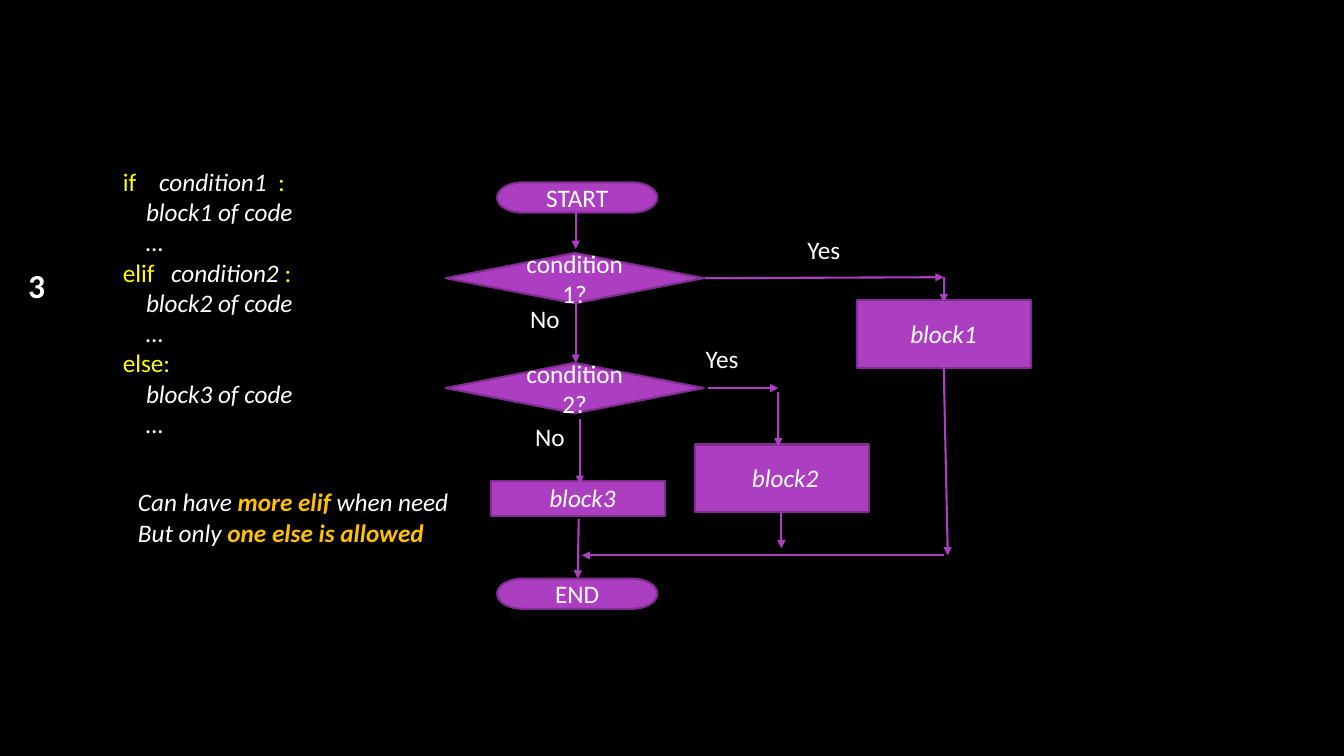
"""Build a slide that explains if / elif / else with code and a flowchart."""
from dataclasses import dataclass

from lxml import etree
from pptx import Presentation
from pptx.dml.color import RGBColor
from pptx.enum.shapes import MSO_CONNECTOR, MSO_SHAPE
from pptx.enum.text import MSO_ANCHOR, MSO_AUTO_SIZE, PP_ALIGN
from pptx.oxml.ns import qn
from pptx.util import Pt

PX = 9144
FONT = "Calibri"
BLACK = RGBColor(0x00, 0x00, 0x00)
WHITE = RGBColor(0xFF, 0xFF, 0xFF)
YELLOW = RGBColor(0xFF, 0xFF, 0x00)
GOLD = RGBColor(0xFF, 0xC0, 0x00)
PURPLE = RGBColor(0xAC, 0x3E, 0xC1)
PLUM = RGBColor(0x7F, 0x2E, 0x8F)
TERMINATOR = MSO_SHAPE.FLOWCHART_TERMINATOR
DECISION = MSO_SHAPE.FLOWCHART_DECISION
PROCESS = MSO_SHAPE.FLOWCHART_PROCESS
STRAIGHT = MSO_CONNECTOR.STRAIGHT
MIDDLE = MSO_ANCHOR.MIDDLE
CENTER = PP_ALIGN.CENTER
FIT_SHAPE = MSO_AUTO_SIZE.SHAPE_TO_FIT_TEXT


@dataclass(frozen=True)
class Run:
    text: str
    color: RGBColor = WHITE
    italic: bool = False
    bold: bool = False
    size: int = 18


@dataclass(frozen=True)
class Para:
    runs: tuple[Run, ...]
    indent: int = 0
    tabs: tuple[int, ...] = ()


@dataclass(frozen=True)
class Node:
    kind: int
    x: int
    y: int
    w: int
    h: int
    text: str = ""


@dataclass(frozen=True)
class Arrow:
    x1: int
    y1: int
    x2: int
    y2: int


@dataclass(frozen=True)
class Label:
    x: int
    y: int
    w: int
    h: int
    paras: tuple[Para, ...]
    wrap: bool = False


def word(text: str, **style) -> tuple[Para, ...]:
    """Return one paragraph with a single run."""
    return (Para((Run(text, **style),)),)


def body(number: int) -> tuple[Para, ...]:
    """Return the indented code lines of one branch."""
    return tuple(Para((Run(text, italic=True),), indent=23)
                 for text in (f"block{number} of code", "…"))


NODES = (
    Node(TERMINATOR, 493, 181, 159, 30, "START"),
    Node(DECISION, 442, 251, 256, 50, "condition1?"),
    Node(DECISION, 442, 360, 256, 50, "condition2?"),
    Node(PROCESS, 850, 298, 173, 67),
    Node(PROCESS, 689, 441, 173, 67),
    Node(PROCESS, 487, 477, 173, 35),
    Node(TERMINATOR, 493, 574, 159, 30, "END"),
)
ARROWS = (
    Arrow(571, 210, 571, 247),
    Arrow(571, 301, 571, 360),
    Arrow(575, 416, 575, 480),
    Arrow(574, 515, 573, 574),
    Arrow(699, 276, 936, 275),
    Arrow(936, 275, 936, 300),
    Arrow(936, 364, 940, 551),
    Arrow(936, 551, 577, 551),
    Arrow(702, 385, 772, 385),
    Arrow(772, 389, 772, 443),
    Arrow(775, 508, 775, 544),
)
CODE = (
    Para((Run("if\t", YELLOW), Run("condition1\t", italic=True),
          Run(":", YELLOW)), tabs=(36, 154)),
    *body(1),
    Para((Run("elif\t", YELLOW), Run("condition2", italic=True),
          Run(" :", YELLOW)), tabs=(48,)),
    *body(2),
    Para((Run("else:", YELLOW),)),
    *body(3),
)
ADVICE = (
    Para((Run("Can have ", italic=True), Run("more elif ", GOLD, True, True),
          Run("when need", italic=True))),
    Para((Run("But only ", italic=True),
          Run("one else is allowed", GOLD, True, True))),
)
LABELS = (
    Label(791, 228, 53, 40, word("Yes")),
    Label(690, 336, 53, 40, word("Yes")),
    Label(516, 296, 50, 40, word("No")),
    Label(521, 413, 50, 40, word("No")),
    Label(893, 311, 93, 40, word("block1", italic=True), wrap=True),
    Label(736, 454, 93, 40, word("block2", italic=True), wrap=True),
    Label(535, 474, 93, 40, word("block3", italic=True), wrap=True),
    Label(112, 160, 285, 283, CODE, wrap=True),
    Label(18, 258, 37, 50, word("3", bold=True, size=24)),
    Label(127, 478, 329, 71, ADVICE),
)


def add_run(p, run: Run) -> None:
    """Append a styled run to a paragraph."""
    r = p.add_run()
    r.text = run.text
    r.font.name = FONT
    r.font.size = Pt(run.size)
    r.font.bold = run.bold
    r.font.italic = run.italic
    r.font.color.rgb = run.color


def add_node(s, node: Node) -> None:
    """Draw a flowchart shape."""
    sp = s.shapes.add_shape(node.kind, node.x * PX, node.y * PX,
                            node.w * PX, node.h * PX)
    sp.shadow.inherit = False
    sp.fill.solid()
    sp.fill.fore_color.rgb = PURPLE
    sp.line.color.rgb = PLUM
    sp.line.width = Pt(1.5)
    if node.text:
        tf = sp.text_frame
        tf.word_wrap = True
        tf.vertical_anchor = MIDDLE
        p = tf.paragraphs[0]
        p.alignment = CENTER
        add_run(p, Run(node.text))


def add_arrow(s, arrow: Arrow) -> None:
    """Draw a straight arrow."""
    sp = s.shapes.add_connector(STRAIGHT, arrow.x1 * PX, arrow.y1 * PX,
                                arrow.x2 * PX, arrow.y2 * PX)
    sp.line.color.rgb = PURPLE
    sp.line.width = Pt(1.5)
    etree.SubElement(sp.line._get_or_add_ln(), qn("a:tailEnd"), type="triangle")
    etree.SubElement(sp._element.spPr, qn("a:effectLst"))


def add_label(s, label: Label) -> None:
    """Draw a text box with indents and tab stops."""
    sp = s.shapes.add_textbox(label.x * PX, label.y * PX,
                              label.w * PX, label.h * PX)
    tf = sp.text_frame
    tf.word_wrap = label.wrap
    tf.auto_size = FIT_SHAPE
    for i, para in enumerate(label.paras):
        p = tf.add_paragraph() if i else tf.paragraphs[0]
        props = p._p.get_or_add_pPr()
        if para.indent:
            props.set("marL", str(para.indent * PX))
        if para.tabs:
            stops = etree.SubElement(props, qn("a:tabLst"))
            for tab in para.tabs:
                etree.SubElement(stops, qn("a:tab"), pos=str(tab * PX), algn="l")
        for run in para.runs:
            add_run(p, run)


def main() -> None:
    """Build and save the slide."""
    prs = Presentation()
    prs.slide_width, prs.slide_height = 1333 * PX, 750 * PX
    s = prs.slides.add_slide(prs.slide_layouts[6])
    s.background.fill.solid()
    s.background.fill.fore_color.rgb = BLACK
    for node in NODES:
        add_node(s, node)
    for arrow in ARROWS:
        add_arrow(s, arrow)
    for label in LABELS:
        add_label(s, label)
    prs.save("out.pptx")


if __name__ == "__main__":
    main()
